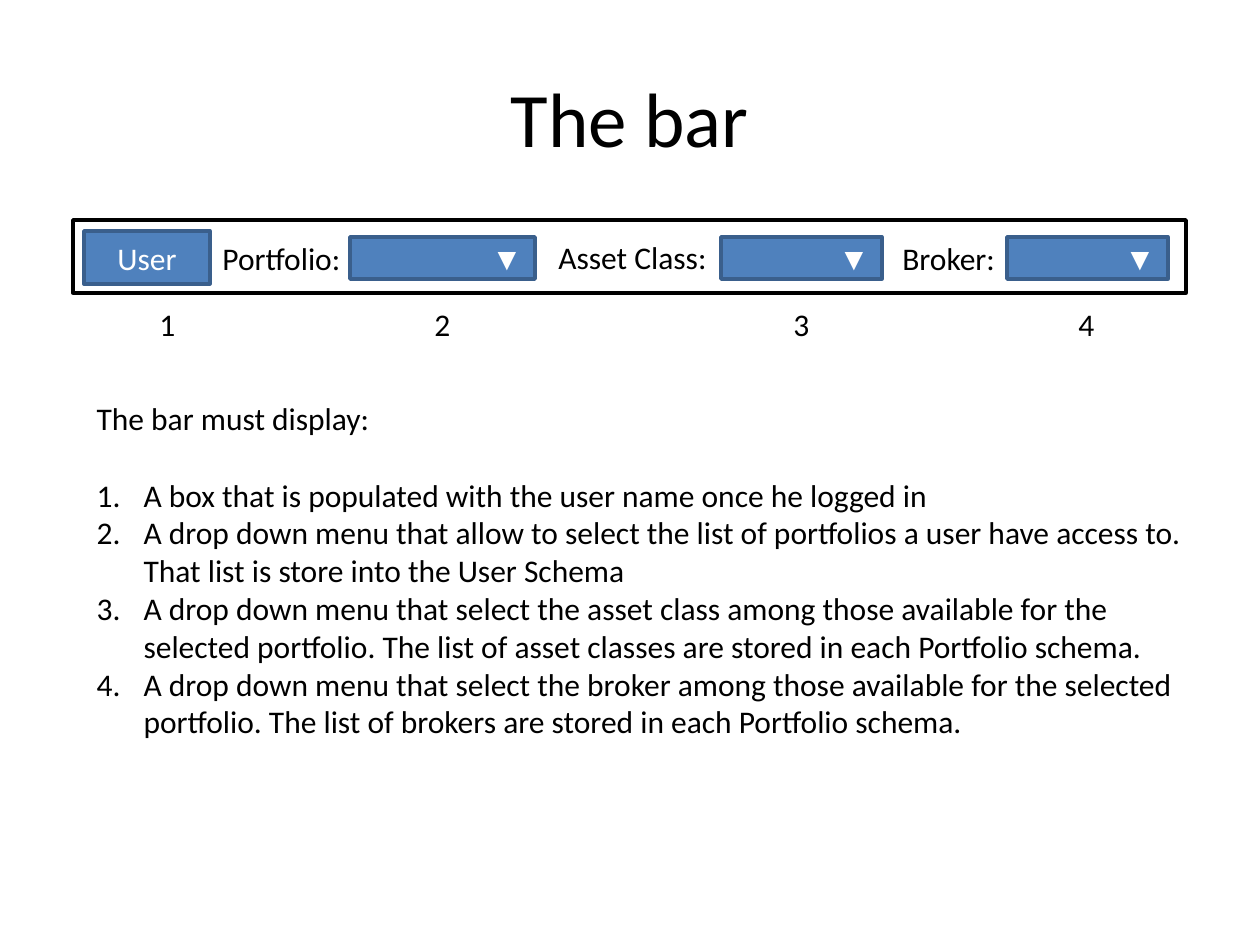
from lxml import etree
from pptx import Presentation
from pptx.dml.color import RGBColor
from pptx.enum.shapes import MSO_SHAPE
from pptx.enum.text import MSO_ANCHOR, MSO_AUTO_SIZE, PP_ALIGN
from pptx.oxml.ns import qn
from pptx.util import Emu, Pt

RECT = MSO_SHAPE.RECTANGLE
TOP, MIDDLE = MSO_ANCHOR.TOP, MSO_ANCHOR.MIDDLE
LEFT, CENTER, RIGHT = PP_ALIGN.LEFT, PP_ALIGN.CENTER, PP_ALIGN.RIGHT
NO_FIT = MSO_AUTO_SIZE.NONE

BLACK = RGBColor(0x00, 0x00, 0x00)
WHITE = RGBColor(0xFF, 0xFF, 0xFF)
BLUE = RGBColor(0x4F, 0x81, 0xBD)
NAVY = RGBColor(0x3A, 0x5F, 0x8C)

EMU_PER_PX = 914400 / 126

MENUS = [
    ("Portfolio:", (137, 13, 145), (277, 185), ("2", 349)),
    ("Asset Class:", (473, 12, 175), (648, 161), ("3", 708)),
    ("Broker:", (817, 13, 118), (934, 161), ("4", 993)),
]
ITEMS = [
    "A box that is populated with the user name once he logged in",
    "A drop down menu that allow to select the list of portfolios a user have "
    "access to. That list is store into the User Schema",
    "A drop down menu that select the asset class among those available for the "
    "selected portfolio. The list of asset classes are stored in each Portfolio schema.",
    "A drop down menu that select the broker among those available for the "
    "selected portfolio. The list of brokers are stored in each Portfolio schema.",
]


def px(n):
    return Emu(round(n * EMU_PER_PX))


def place(sp, x, y, w, h):
    sp.left, sp.top, sp.width, sp.height = px(x), px(y), px(w), px(h)


def write(p, text, size=18, font="Calibri", color=BLACK, align=LEFT, after=0):
    p.alignment = align
    p.space_before, p.space_after = Pt(0), Pt(after)
    r = p.add_run()
    r.text = text
    r.font.size, r.font.name = Pt(size), font
    r.font.color.rgb = color


def set_bullet(p, indent=0, number=False):
    pPr = p._p.get_or_add_pPr()
    pPr.set("marL", str(px(indent)))
    pPr.set("indent", str(-px(indent)))
    if number:
        etree.SubElement(pPr, qn("a:buFont"), typeface="+mj-lt")
        etree.SubElement(pPr, qn("a:buAutoNum"), type="arabicPeriod")
    else:
        etree.SubElement(pPr, qn("a:buNone"))


def add_label(s, text, x, y, w):
    sp = s.shapes.add_textbox(px(x), px(y), px(w), px(50))
    sp.text_frame.word_wrap = False
    write(sp.text_frame.paragraphs[0], text)


def add_box(s, x, y, w, h, fill=None, line=NAVY):
    sp = s.shapes.add_shape(RECT, px(x), px(y), px(w), px(h))
    sp.shadow.inherit = False
    if fill is None:
        sp.fill.background()
    else:
        sp.fill.solid()
        sp.fill.fore_color.rgb = fill
    sp.line.color.rgb = line
    sp.line.width = Pt(2)
    sp.text_frame.vertical_anchor = MIDDLE
    return sp.text_frame.paragraphs[0]


def add_bar(s, x, y, w, h):
    number_y = y + h + 6
    add_box(s, x, y, w, h, line=BLACK)
    p = add_box(s, x + 11, y + 11, 126, 53, fill=BLUE)
    write(p, "User", color=WHITE, align=CENTER)
    add_label(s, "1", x + 74, number_y, 42)
    for name, (name_x, name_y, name_w), (menu_x, menu_w), (number, number_x) in MENUS:
        add_label(s, name, x + name_x, y + name_y, name_w)
        p = add_box(s, x + menu_x, y + 17, menu_w, 42, fill=BLUE)
        write(p, "▼", font="Arial", color=WHITE, align=RIGHT)
        add_label(s, number, x + number_x, number_y, 42)


def add_title(s, x, y, w, h):
    sp = s.shapes.title
    place(sp, x, y, w, h)
    sp.text_frame.vertical_anchor = MIDDLE
    write(sp.text_frame.paragraphs[0], "The bar", size=44, align=CENTER)


def add_requirements(s, x, y, w, h):
    sp = s.placeholders[1]
    place(sp, x, y, w, h)
    tf = sp.text_frame
    tf.word_wrap, tf.auto_size, tf.vertical_anchor = True, NO_FIT, TOP
    p = tf.paragraphs[0]
    write(p, "The bar must display:", after=22)
    set_bullet(p)
    for item in ITEMS:
        p = tf.add_paragraph()
        write(p, item)
        set_bullet(p, indent=47, number=True)


prs = Presentation()
prs.slide_width, prs.slide_height = px(1260), px(945)
s = prs.slides.add_slide(prs.slide_layouts[1])
add_title(s, 63, 38, 1134, 158)
add_bar(s, 73, 220, 1113, 73)
add_requirements(s, 84, 393, 1124, 394)
prs.save("out.pptx")
